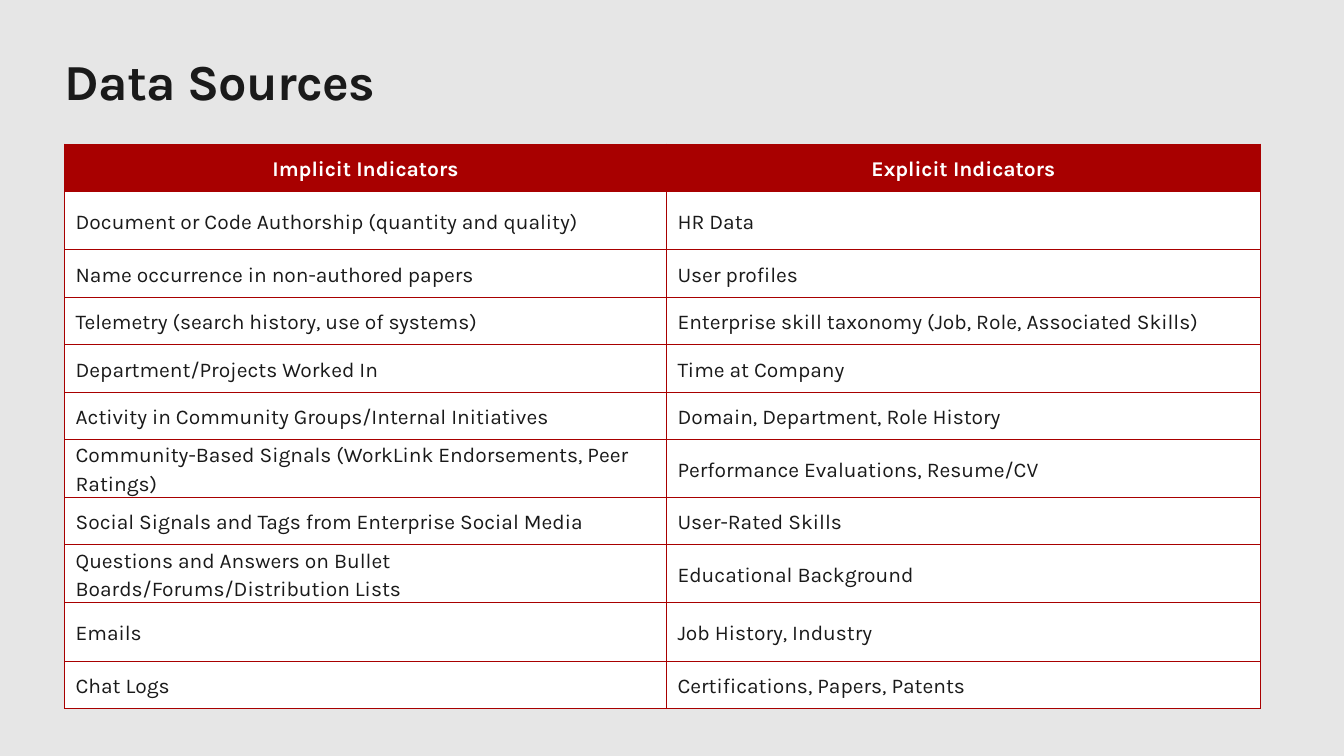
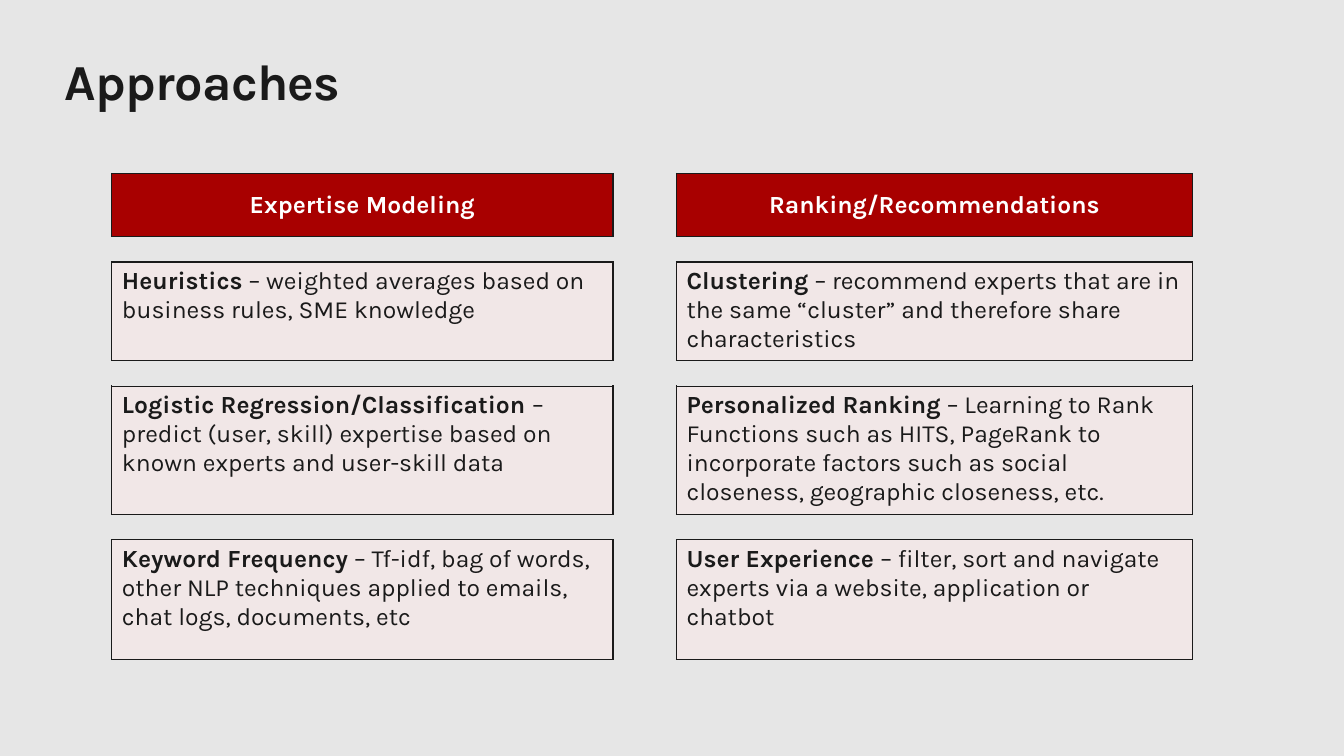
from lxml.etree import SubElement
from pptx import Presentation
from pptx.dml.color import RGBColor
from pptx.enum.text import MSO_ANCHOR, PP_ALIGN
from pptx.oxml.ns import qn
from pptx.util import Inches, Pt

FONT = "Karla"
INK, RED, WHITE = "1A1A1A", "A80000", "FFFFFF"
PAGE, BLUSH = "E6E6E6", "F1E7E7"
NO_GRID = "{2D5ABB26-0587-4C30-8999-92F81FD0307C}"

INDICATORS = [
    ("Implicit Indicators", "Explicit Indicators"),
    ("Document or Code Authorship (quantity and quality)", "HR Data"),
    ("Name occurrence in non-authored papers", "User profiles"),
    ("Telemetry (search history, use of systems)",
     "Enterprise skill taxonomy (Job, Role, Associated Skills)"),
    ("Department/Projects Worked In", "Time at Company"),
    ("Activity in Community Groups/Internal Initiatives",
     "Domain, Department, Role History"),
    ("Community-Based Signals (WorkLink Endorsements, Peer Ratings)",
     "Performance Evaluations, Resume/CV"),
    ("Social Signals and Tags from Enterprise Social Media", "User-Rated Skills"),
    ("Questions and Answers on Bullet Boards/Forums/Distribution Lists",
     "Educational Background"),
    ("Emails", "Job History, Industry"),
    ("Chat Logs", "Certifications, Papers, Patents"),
]
INDICATOR_ROWS = [0.47, 0.58, 0.47, 0.47, 0.47, 0.47, 0.56, 0.47, 0.56, 0.58, 0.47]

APPROACHES = [
    [("Expertise Modeling", ""), ("Ranking/Recommendations", "")],
    [("Heuristics", " – weighted averages based on business rules, SME knowledge"),
     ("Clustering", " – recommend experts that are in the same “cluster” and "
                    "therefore share characteristics")],
    [("Logistic Regression/Classification ",
      "– predict (user, skill) expertise based on known experts and user-skill data"),
     ("Personalized Ranking",
      " – Learning to Rank Functions such as HITS, PageRank to incorporate factors "
      "such as social closeness, geographic closeness, etc.")],
    [("Keyword Frequency", " – Tf-idf, bag of words, other NLP techniques applied "
                           "to emails, chat logs, documents, etc"),
     ("User Experience", " – filter, sort and navigate experts via a website, "
                         "application or chatbot")],
]
APPROACH_ROWS = [0.63, 0.25, 0.96, 0.25, 1.25, 0.25, 1.19]


def rgb(value):
    return RGBColor.from_string(value)


def add_run(p, text, size, color=INK, bold=False, spacing=None):
    r = p.add_run()
    r.text = text
    r.font.name = FONT
    r.font.size = Pt(size)
    r.font.bold = bold
    r.font.color.rgb = rgb(color)
    if spacing is not None:
        r.font._element.set("spc", str(int(spacing * 100)))


def add_titled_slide(prs, title):
    s = prs.slides.add_slide(prs.slide_layouts[6])
    s.background.fill.solid()
    s.background.fill.fore_color.rgb = rgb(PAGE)
    tf = s.shapes.add_textbox(Inches(0.64), Inches(0.5),
                              Inches(12.05), Inches(0.61)).text_frame
    tf.word_wrap = True
    tf.margin_left = tf.margin_right = tf.margin_top = tf.margin_bottom = 0
    add_run(tf.paragraphs[0], title, 36, bold=True, spacing=-0.5)
    return s


def add_plain_table(s, left, top, widths, heights):
    frame = s.shapes.add_table(len(heights), len(widths), Inches(left), Inches(top),
                               Inches(sum(widths)), Inches(sum(heights)))
    table = frame.table
    table.horz_banding = table.first_row = False
    table._tbl.tblPr.find(qn("a:tableStyleId")).text = NO_GRID
    for column, width in zip(table.columns, widths):
        column.width = Inches(width)
    for row, height in zip(table.rows, heights):
        row.height = Inches(height)
    return table


def set_borders(cell, sides, color, width):
    tcPr = cell._tc.get_or_add_tcPr()
    for side in sides:
        ln = SubElement(tcPr, qn("a:ln" + side), w=str(Pt(width)))
        SubElement(SubElement(ln, qn("a:solidFill")), qn("a:srgbClr"), val=color)


def set_fill(cell, color):
    cell.fill.solid()
    cell.fill.fore_color.rgb = rgb(color)


def shrink_gap(cell):
    cell.margin_top = cell.margin_bottom = 0
    end = cell.text_frame.paragraphs[0]._p.get_or_add_endParaRPr()
    end.set("sz", "800")


def fill_indicators(s, left, top):
    table = add_plain_table(s, left, top, [5.97, 5.89], INDICATOR_ROWS)
    for i, row in enumerate(INDICATORS):
        header = i == 0
        for j, text in enumerate(row):
            cell = table.cell(i, j)
            set_borders(cell, "LRTB", RED, 0.75)
            set_fill(cell, RED if header else WHITE)
            cell.margin_left = cell.margin_right = Inches(0.11)
            cell.margin_top = cell.margin_bottom = 0
            cell.vertical_anchor = MSO_ANCHOR.MIDDLE
            p = cell.text_frame.paragraphs[0]
            p.line_spacing = 1.15
            p.alignment = PP_ALIGN.CENTER if header else PP_ALIGN.LEFT
            add_run(p, text, 15, WHITE if header else INK, header)


def fill_approaches(s, left, top):
    table = add_plain_table(s, left, top, [4.97, 0.63, 5.12], APPROACH_ROWS)
    for i in range(len(APPROACH_ROWS)):
        for j in range(3):
            cell = table.cell(i, j)
            sides = ("" if i % 2 else "LR") + ("" if j % 2 else "TB")
            set_borders(cell, sides, INK, 1)
            if i % 2 or j % 2:
                shrink_gap(cell)
                continue
            header = i == 0
            set_fill(cell, RED if header else BLUSH)
            p = cell.text_frame.paragraphs[0]
            if header:
                cell.vertical_anchor = MSO_ANCHOR.MIDDLE
                p.alignment = PP_ALIGN.CENTER
            term, detail = APPROACHES[i // 2][j // 2]
            add_run(p, term, 17.6, WHITE if header else INK, True)
            if detail:
                add_run(p, detail, 17.6)


def main():
    prs = Presentation()
    prs.slide_width, prs.slide_height = Inches(13.33), Inches(7.5)
    fill_indicators(add_titled_slide(prs, "Data Sources"), 0.64, 1.43)
    fill_approaches(add_titled_slide(prs, "Approaches"), 1.11, 1.72)
    prs.save("out.pptx")


if __name__ == "__main__":
    main()
